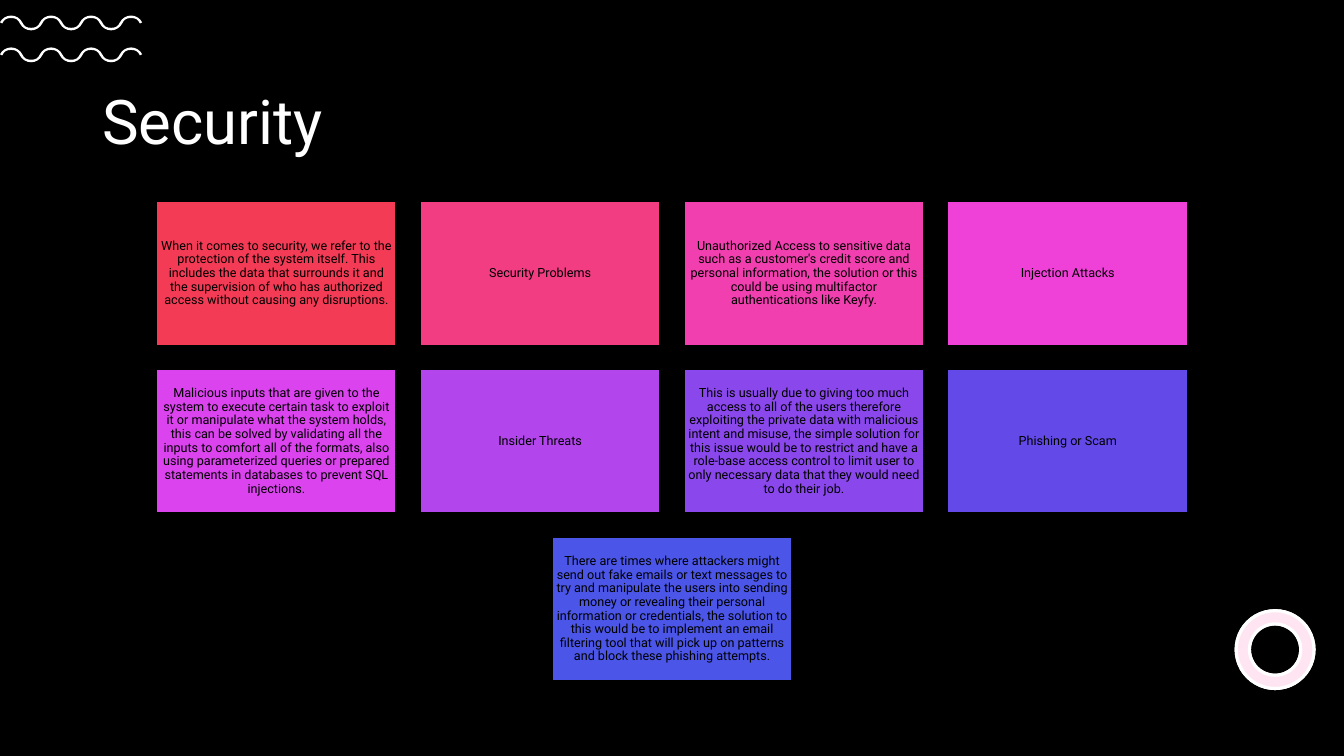
from lxml.etree import SubElement
from pptx import Presentation
from pptx.dml.color import RGBColor
from pptx.enum.shapes import MSO_SHAPE
from pptx.enum.text import MSO_ANCHOR, MSO_AUTO_SIZE, PP_ALIGN
from pptx.oxml.ns import qn
from pptx.util import Pt

BLACK = RGBColor(0x00, 0x00, 0x00)
WHITE = RGBColor(0xFF, 0xFF, 0xFF)
PINK = RGBColor(0xFF, 0x80, 0xBD)
RED = RGBColor(0xF4, 0x3B, 0x56)
ROSE = RGBColor(0xF2, 0x3D, 0x83)
MAGENTA = RGBColor(0xF1, 0x3F, 0xAF)
FUCHSIA = RGBColor(0xEF, 0x41, 0xD8)
ORCHID = RGBColor(0xDB, 0x43, 0xEE)
PURPLE = RGBColor(0xB2, 0x45, 0xEC)
VIOLET = RGBColor(0x8A, 0x47, 0xEB)
INDIGO = RGBColor(0x64, 0x49, 0xE9)
BLUE = RGBColor(0x4B, 0x56, 0xE8)

PAGE_WIDTH, PAGE_HEIGHT = 960, 540
CARD_WIDTH, CARD_HEIGHT, CARD_GAP = 171.3, 102.78, 17.13
FIRST_ROW_TOP = 143.9
COLUMNS = 4

CARDS = [
    (RED, "When it comes to security, we refer to the protection of the system itself. "
          "This includes the data that surrounds it and the supervision of who has "
          "authorized access without causing any disruptions."),
    (ROSE, "Security Problems"),
    (MAGENTA, "Unauthorized Access to sensitive data such as a customer's credit score and "
              "personal information, the solution or this could be using multifactor "
              "authentications like Keyfy."),
    (FUCHSIA, "Injection Attacks"),
    (ORCHID, "Malicious inputs that are given to the system to execute certain task to "
             "exploit it or manipulate what the system holds, this can be solved by "
             "validating all the inputs to comfort all of the formats, also using "
             "parameterized queries or prepared statements in databases to prevent SQL "
             "injections."),
    (PURPLE, "Insider Threats"),
    (VIOLET, "This is usually due to giving too much access to all of the users therefore "
             "exploiting the private data with malicious intent and misuse, the simple "
             "solution for this issue would be to restrict and have a role-base access "
             "control to limit user to only necessary data that they would need to do "
             "their job."),
    (INDIGO, "Phishing or Scam"),
    (BLUE, "There are times where attackers might send out fake emails or text messages to "
           "try and manipulate the users into sending money or revealing their personal "
           "information or credentials, the solution to this would be to implement an "
           "email filtering tool that will pick up on patterns and block these phishing "
           "attempts."),
]


def write_text(frame, text, *, font, size, color, align, inset):
    frame.word_wrap = True
    frame.auto_size = MSO_AUTO_SIZE.NONE
    frame.vertical_anchor = MSO_ANCHOR.MIDDLE
    frame.margin_left = frame.margin_right = Pt(inset)
    frame.margin_top = frame.margin_bottom = Pt(inset)
    para = frame.paragraphs[0]
    para.alignment = align
    para.line_spacing = 0.9
    span = para.add_run()
    span.text = text
    span.font.name = font
    span.font.size = Pt(size)
    span.font.color.rgb = color


def wave_edge(left, middle, side, quarters=14, quarter_width=7.14, height=4.4):
    points = []
    for quarter in range(quarters + 1):
        x, y = left + quarter * quarter_width, middle
        direction = 1 if quarter % 4 < 2 else -1
        if quarter % 2:
            y += side * 0.9 - direction * height
            handle_x, handle_y = 3.3, 0
        else:
            x += side * direction * 0.8
            y += side * 0.4
            handle_x, handle_y = 1.4, -2.9 * direction
        points += [(x - handle_x, y - handle_y), (x, y), (x + handle_x, y + handle_y)]
    return [(Pt(x), Pt(y)) for x, y in points[1:-1]]


def bend(segments):
    for first, second, third in zip(segments[::3], segments[1::3], segments[2::3]):
        first.tag = qn("a:cubicBezTo")
        for segment in (second, third):
            first.append(segment[0])
            segment.getparent().remove(segment)


class SlideBuilder:
    def __init__(self, page, font):
        self.page = page
        self.font = font
        page.background.fill.solid()
        page.background.fill.fore_color.rgb = BLACK

    def paint(self, box, fill, line=None, line_width=1):
        box.shadow.inherit = False
        box.fill.solid()
        box.fill.fore_color.rgb = fill
        if line is None:
            box.line.fill.background()
        else:
            box.line.color.rgb = line
            box.line.width = Pt(line_width)

    def title(self, text, left, top, width, height):
        box = self.page.shapes.title
        box.left, box.top = Pt(left), Pt(top)
        box.width, box.height = Pt(width), Pt(height)
        write_text(box.text_frame, text, font=self.font, size=44, color=WHITE,
                   align=PP_ALIGN.LEFT, inset=7.2)

    def shape(self, kind, left, top, width, height):
        return self.page.shapes.add_shape(kind, Pt(left), Pt(top), Pt(width), Pt(height))

    def backdrop(self):
        box = self.shape(MSO_SHAPE.RECTANGLE, 0, 0, PAGE_WIDTH, PAGE_HEIGHT)
        self.paint(box, BLACK)
        self.page.shapes.title.element.addprevious(box.element)

    def card(self, text, left, top, fill):
        box = self.shape(MSO_SHAPE.RECTANGLE, left, top, CARD_WIDTH, CARD_HEIGHT)
        self.paint(box, fill, BLACK)
        write_text(box.text_frame, text, font=self.font, size=9, color=BLACK,
                   align=PP_ALIGN.CENTER, inset=2.7)

    def ring(self, left, top, size, fill, opacity):
        box = self.shape(MSO_SHAPE.DONUT, left, top, size, size)
        box.adjustments[0] = 0.17
        self.paint(box, fill, WHITE, 2.25)
        if opacity < 100:
            color = box.element.spPr.find(qn("a:solidFill")).find(qn("a:srgbClr"))
            SubElement(color, qn("a:alpha")).set("val", str(opacity * 1000))

    def wave(self, left, middle):
        upper = wave_edge(left, middle, -1)
        lower = wave_edge(left, middle, 1)[::-1]
        builder = self.page.shapes.build_freeform(*upper[0])
        builder.add_line_segments(upper[1:] + lower, close=True)
        box = builder.convert_to_shape()
        segments = list(box.element.iter(qn("a:lnTo")))
        edge_length = len(upper) - 1
        bend(segments[:edge_length])
        bend(segments[edge_length + 1:2 * edge_length + 1])
        self.paint(box, WHITE)


def main():
    deck = Presentation()
    deck.slide_width, deck.slide_height = Pt(PAGE_WIDTH), Pt(PAGE_HEIGHT)
    builder = SlideBuilder(deck.slides.add_slide(deck.slide_layouts[5]), "Roboto")

    builder.backdrop()
    builder.title("Security", 66, 44.6, 828, 88.6)
    for middle in (39.2, 16.4):
        builder.wave(0.8, middle)
    for fill, opacity in ((WHITE, 100), (PINK, 20)):
        builder.ring(883, 436.2, 55.6, fill, opacity)

    for start in range(0, len(CARDS), COLUMNS):
        row = CARDS[start:start + COLUMNS]
        row_width = len(row) * (CARD_WIDTH + CARD_GAP) - CARD_GAP
        row_left = (PAGE_WIDTH - row_width) / 2
        top = FIRST_ROW_TOP + start // COLUMNS * (CARD_HEIGHT + CARD_GAP)
        for column, (fill, text) in enumerate(row):
            builder.card(text, row_left + column * (CARD_WIDTH + CARD_GAP), top, fill)

    deck.save("out.pptx")


if __name__ == "__main__":
    main()
